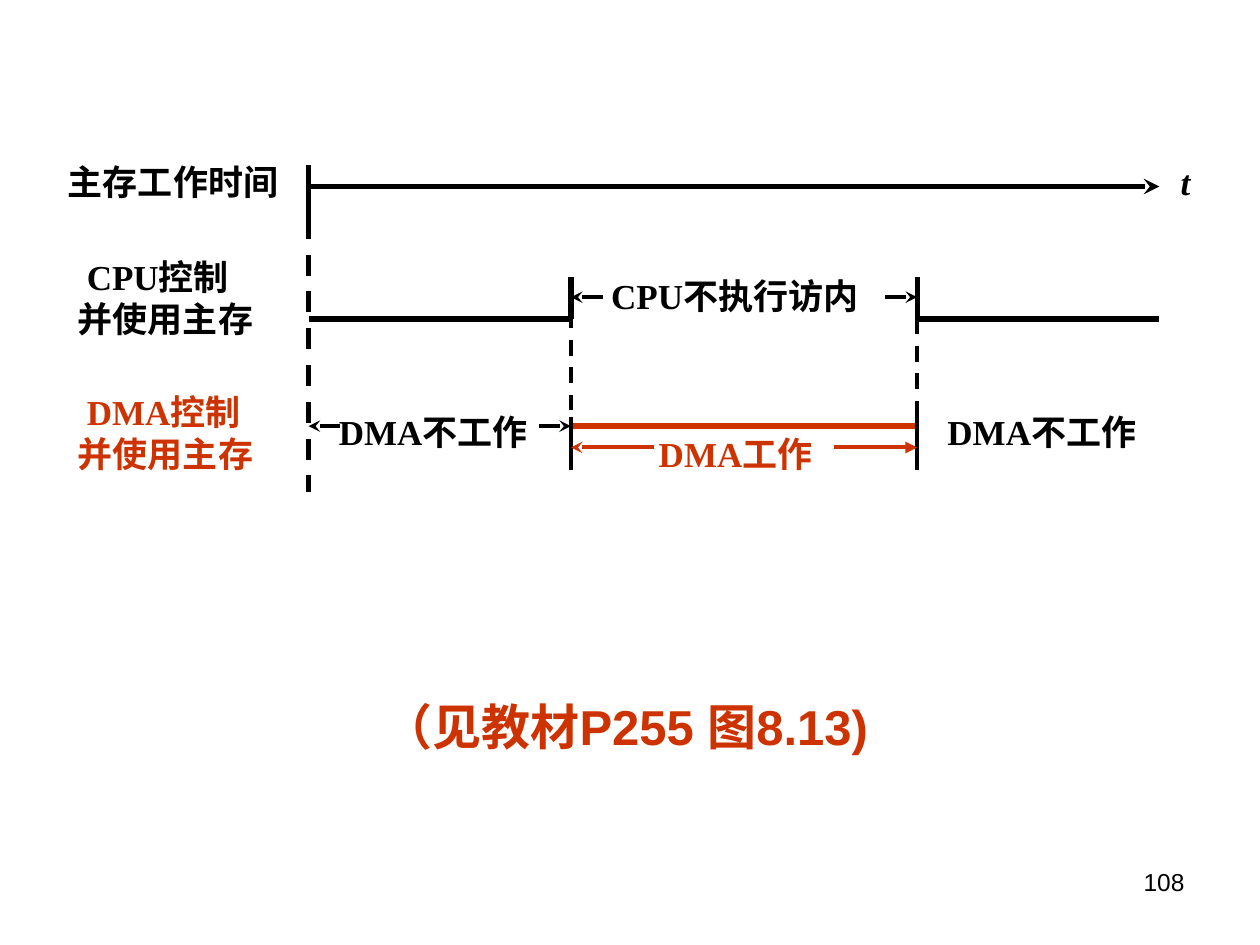
"""Build a timing diagram of CPU and DMA access to main memory."""
from lxml import etree
from pptx import Presentation
from pptx.dml.color import RGBColor
from pptx.enum.dml import MSO_LINE
from pptx.enum.shapes import MSO_CONNECTOR
from pptx.enum.text import MSO_AUTO_SIZE, PP_ALIGN
from pptx.oxml.ns import qn
from pptx.util import Cm, Pt

STRAIGHT = MSO_CONNECTOR.STRAIGHT
DASH = MSO_LINE.DASH
GROW, FIXED = MSO_AUTO_SIZE.SHAPE_TO_FIT_TEXT, MSO_AUTO_SIZE.NONE
LEFT, RIGHT = PP_ALIGN.LEFT, PP_ALIGN.RIGHT

BLACK, RED = "000000", "CC3300"
THICK, THIN = 3, 2.25
START, GRANT, RELEASE, END = 6.22, 11.51, 18.49, 23.37
TIME_Y, CPU_Y, DMA_Y = 3.76, 6.43, 8.59
IDLE_Y, WORK_Y = 5.99, 9.02
CPU_TOP, TICK_TOP, TICK_END = 5.59, 8.41, 9.47
SHORT, LONG = 0.64, 1.68

LABEL = {"size": Pt(20), "name": "Times New Roman", "bold": True}
AXIS = {**LABEL, "italic": True}
CAPTION = {"size": Pt(28), "name": "Arial", "bold": True}
NUMBER = {"size": Pt(14), "name": "Arial"}

LINES = [
    (START, 3.33, START, 4.39, BLACK, THICK, None, None),
    (START, TIME_Y, END, TIME_Y, BLACK, THICK, None, "stealth"),
    (START, 4.39, START, 9.91, BLACK, THICK, DASH, None),
    (START, CPU_Y, GRANT, CPU_Y, BLACK, THICK, None, None),
    (RELEASE, CPU_Y, END, CPU_Y, BLACK, THICK, None, None),
    (GRANT, 6.3, GRANT, 8.64, BLACK, THIN, DASH, None),
    (RELEASE, 5.87, RELEASE, 8.64, BLACK, THIN, DASH, None),
    (GRANT, DMA_Y, RELEASE, DMA_Y, RED, THICK, None, None),
]
for edge in (GRANT, RELEASE):
    LINES += [
        (edge, CPU_TOP, edge, CPU_Y, BLACK, THICK, None, None),
        (edge, TICK_TOP, edge, TICK_END, BLACK, THIN, None, None),
    ]

SPANS = [
    (GRANT, RELEASE, IDLE_Y, SHORT, BLACK, "stealth"),
    (START, GRANT, DMA_Y, SHORT, BLACK, "stealth"),
    (GRANT, RELEASE, WORK_Y, LONG, RED, "triangle"),
]
for first, last, y, length, color, right_head in SPANS:
    LINES += [
        (first + length, y, first, y, color, THIN, None, "stealth"),
        (last - length, y, last, y, color, THIN, None, right_head),
    ]

TEXTS = [
    (["主存工作时间"], 1.12, 3.12, 4.75, 1.12, BLACK, LABEL),
    (["CPU控制", "并使用主存"], 1.32, 5.03, 4.04, 1.96, BLACK, LABEL),
    (["DMA控制", "并使用主存"], 1.32, 7.75, 4.04, 1.96, RED, LABEL),
    (["CPU不执行访内"], 12.07, 5.41, 5.66, 1.12, BLACK, LABEL),
    (["DMA不工作"], 6.58, 8.15, 4.47, 1.12, BLACK, LABEL),
    (["DMA不工作"], 18.85, 8.15, 4.47, 1.12, BLACK, LABEL),
    (["DMA工作"], 13.03, 8.59, 3.78, 1.12, RED, LABEL),
    (["t"], 23.55, 3.12, 0.69, 1.12, BLACK, AXIS),
    (["（见教材P255 图8.13)"], 7.49, 13.92, 11.99, 1.45, RED, CAPTION),
    (["108"], 18.21, 17.35, 5.92, 1.32, BLACK, NUMBER),
]


def rgb(color):
    return RGBColor.from_string(color)


def add_line(page, x1, y1, x2, y2, color, width, dash, head):
    line = page.shapes.add_connector(STRAIGHT, Cm(x1), Cm(y1), Cm(x2), Cm(y2))
    line.line.color.rgb = rgb(color)
    line.line.width = Pt(width)
    if dash:
        line.line.dash_style = dash
    if head:
        etree.SubElement(line.line._get_or_add_ln(), qn("a:tailEnd"), type=head)
    etree.SubElement(line._element.spPr, qn("a:effectLst"))


def add_text(page, texts, left, top, width, height, color, style):
    box = page.shapes.add_textbox(Cm(left), Cm(top), Cm(width), Cm(height))
    frame = box.text_frame
    frame.word_wrap = style in (CAPTION, NUMBER)
    frame.auto_size = FIXED if style is NUMBER else GROW
    for index, text in enumerate(texts):
        para = frame.paragraphs[0] if index == 0 else frame.add_paragraph()
        para.alignment = RIGHT if style is NUMBER else LEFT
        if len(texts) > 1 and index == 0:
            para._p.get_or_add_pPr().set("indent", str(Cm(0.18)))
        span = para.add_run()
        span.text = text
        span.font.color.rgb = rgb(color)
        for name, value in style.items():
            setattr(span.font, name, value)


def main():
    deck = Presentation()
    deck.slide_width, deck.slide_height = Cm(25.4), Cm(19.05)
    page = deck.slides.add_slide(deck.slide_layouts[6])
    for line in LINES:
        add_line(page, *line)
    for text in TEXTS:
        add_text(page, *text)
    deck.save("out.pptx")


if __name__ == "__main__":
    main()
